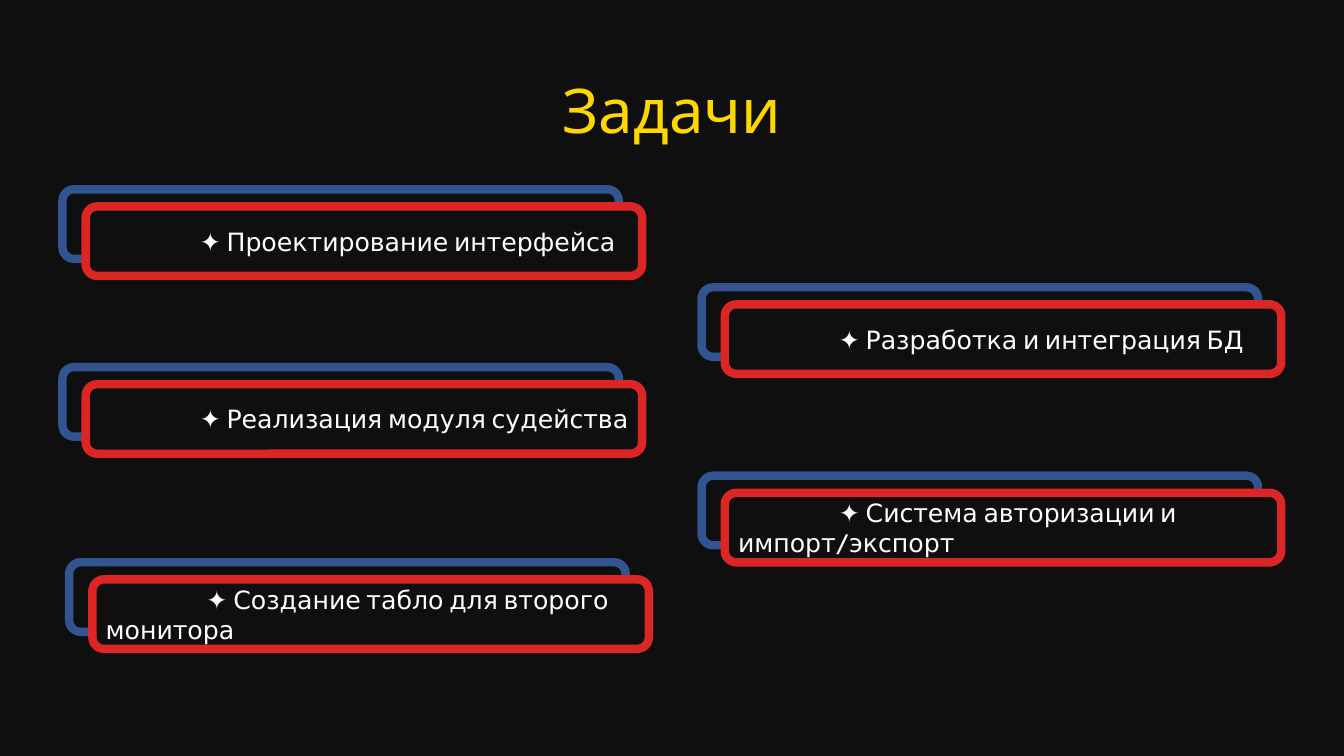
from pptx import Presentation
from pptx.dml.color import RGBColor
from pptx.enum.shapes import MSO_SHAPE
from pptx.enum.text import MSO_ANCHOR, PP_ALIGN
from pptx.util import Pt

ROUNDED = MSO_SHAPE.ROUNDED_RECTANGLE
MIDDLE = MSO_ANCHOR.MIDDLE
LEFT, CENTER = PP_ALIGN.LEFT, PP_ALIGN.CENTER
TITLE_ONLY = 5


def color(value):
    return RGBColor.from_string(value)


def write_text(shape, text, size=18, ink="FFFFFF", align=LEFT, spacing=1.0, indent=0):
    frame = shape.text_frame
    frame.word_wrap = True
    frame.vertical_anchor = MIDDLE
    paragraph = frame.paragraphs[0]
    paragraph.alignment = align
    paragraph.line_spacing = spacing
    if indent:
        properties = paragraph._p.get_or_add_pPr()
        properties.set("marL", "0")
        properties.set("indent", str(Pt(indent)))
    run = paragraph.add_run()
    run.text = text
    run.font.name = "Cabin"
    run.font.size = Pt(size)
    run.font.color.rgb = color(ink)


class TaskSlide:
    background = "0F0F0F"
    gold, blue, red = "FFD700", "325491", "DC2626"
    card_width, card_height = 397.5, 49.7
    shift_x, shift_y = 16.6, 12.2
    border = 6
    first_line = 72

    def __init__(self, presentation):
        self.slide = presentation.slides.add_slide(presentation.slide_layouts[TITLE_ONLY])
        fill = self.slide.background.fill
        fill.solid()
        fill.fore_color.rgb = color(self.background)

    def title(self, text, left, top, width, height):
        shape = self.slide.shapes.title
        shape.left, shape.top = Pt(left), Pt(top)
        shape.width, shape.height = Pt(width), Pt(height)
        write_text(shape, text, size=44, ink=self.gold, align=CENTER, spacing=0.9)

    def frame(self, left, top, outline):
        shape = self.slide.shapes.add_shape(
            ROUNDED, Pt(left), Pt(top), Pt(self.card_width), Pt(self.card_height))
        shape.shadow.inherit = False
        shape.fill.solid()
        shape.fill.fore_color.rgb = color(self.background)
        shape.line.color.rgb = color(outline)
        shape.line.width = Pt(self.border)
        return shape

    def card(self, text, left, top):
        self.frame(left, top, self.blue)
        front = self.frame(left + self.shift_x, top + self.shift_y, self.red)
        write_text(front, text, indent=self.first_line)


def main():
    presentation = Presentation()
    presentation.slide_width, presentation.slide_height = Pt(960), Pt(540)
    tasks = TaskSlide(presentation)

    # Heading
    tasks.title("Задачи", 66, 28.8, 828, 104.4)

    # Task cards: text, left, top
    cards = [
        ("Проектирование интерфейса", 44.6, 135.2),
        ("Система авторизации и импорт/экспорт", 501.1, 339.8),
        ("Реализация модуля судейства", 44.6, 262.2),
        ("Создание табло для второго монитора", 49.4, 401.6),
        ("Разработка и интеграция БД", 501.1, 205.2),
    ]
    for text, left, top in cards:
        tasks.card(f"✦ {text}", left, top)

    presentation.save("out.pptx")


if __name__ == "__main__":
    main()
